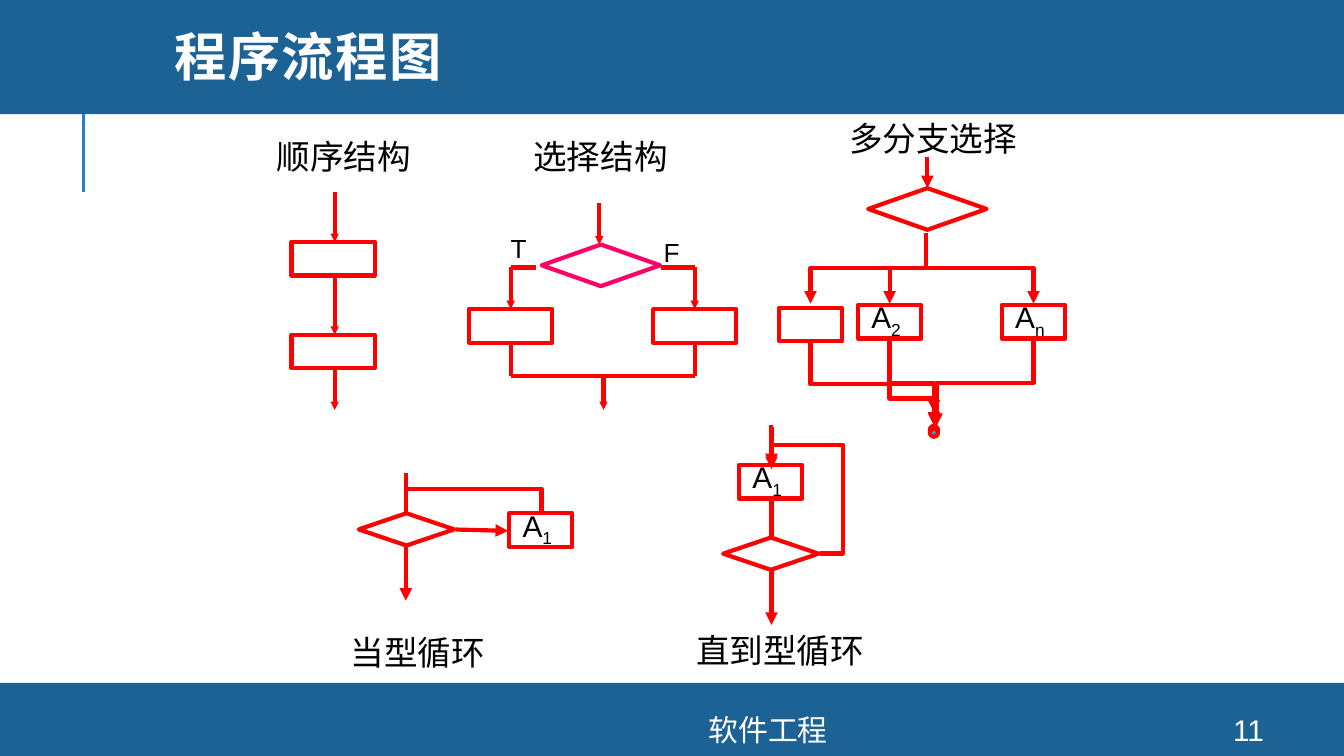
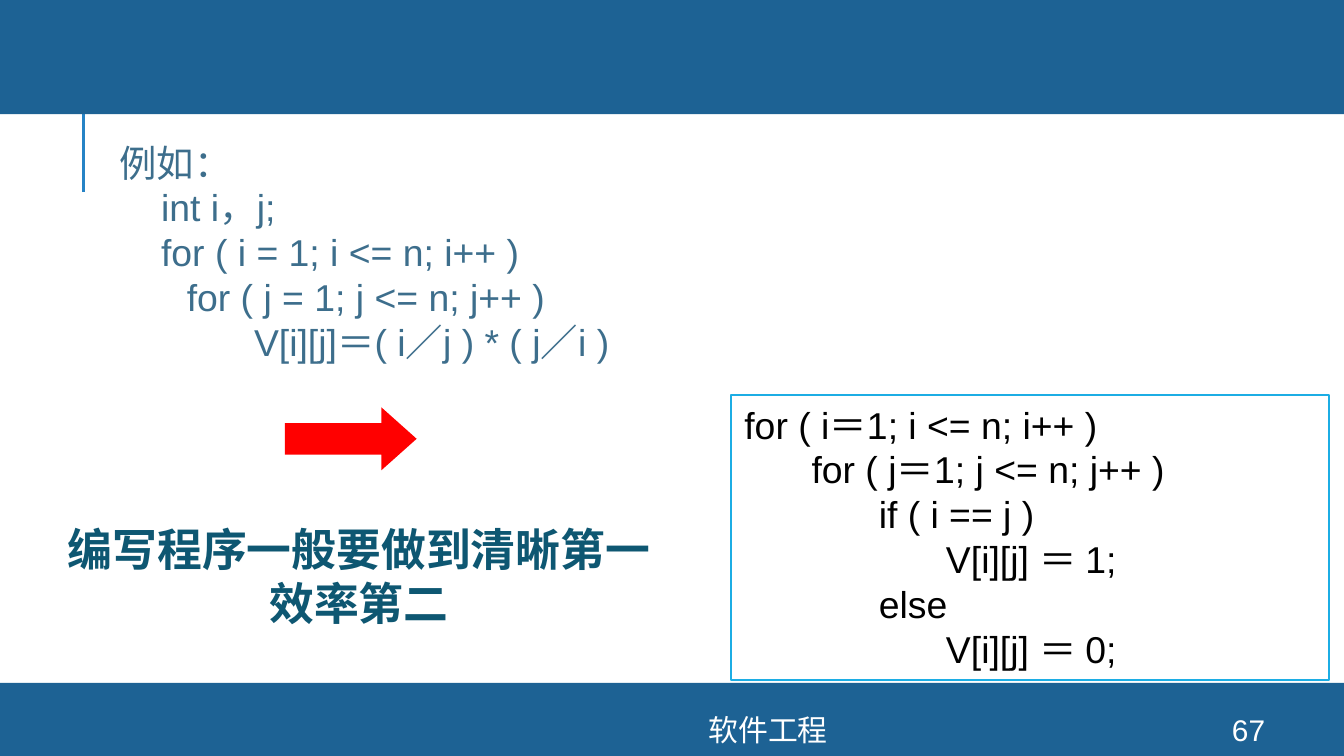
from dataclasses import dataclass

from pptx import Presentation
from pptx.dml.color import RGBColor
from pptx.enum.shapes import MSO_CONNECTOR, MSO_SHAPE
from pptx.enum.text import MSO_ANCHOR, PP_ALIGN
from pptx.oxml.ns import qn
from pptx.oxml.xmlchemy import OxmlElement
from pptx.util import Pt

RECT, DIAMOND = MSO_SHAPE.RECTANGLE, MSO_SHAPE.DIAMOND
OVAL, ARROW = MSO_SHAPE.OVAL, MSO_SHAPE.RIGHT_ARROW
LINE, ELBOW = MSO_CONNECTOR.STRAIGHT, MSO_CONNECTOR.ELBOW
LEFT, CENTER, JUST = PP_ALIGN.LEFT, PP_ALIGN.CENTER, PP_ALIGN.JUSTIFY
TOP, MIDDLE = MSO_ANCHOR.TOP, MSO_ANCHOR.MIDDLE


@dataclass(frozen=True)
class Theme:
    # Colours
    band: str = "1D6294"
    rule: str = "2683C6"
    flow: str = "FF0000"
    pink: str = "FF0066"
    cyan: str = "1CADE4"
    body: str = "3D6E8C"
    note: str = "0E5772"
    ink: str = "000000"
    white: str = "FFFFFF"
    # Fonts, sizes, weights
    font: str = "Arial"
    head: str = "Montserrat"
    title: float = 28
    large: float = 24
    code: float = 20
    label: float = 18
    small: float = 16
    mark: float = 14
    lead: float = 1.2
    stroke: float = 2.25


T = Theme()


def rgb(code):
    return RGBColor.from_string(code)


def place(shape, x, y, w, h):
    shape.left, shape.top, shape.width, shape.height = Pt(x), Pt(y), Pt(w), Pt(h)


def style(run, size, color, bold=False, font=T.font):
    run.font.name, run.font.size, run.font.bold = font, Pt(size), bold
    run.font.color.rgb = rgb(color)


# Text
def write(shape, lines, size, color=T.ink, align=LEFT, anchor=TOP,
          bold=False, wrap=True, tab=0):
    frame = shape.text_frame
    frame.word_wrap, frame.vertical_anchor = wrap, anchor
    for i, line in enumerate(lines):
        para = frame.add_paragraph() if i else frame.paragraphs[0]
        para.text = line
        if tab:
            set_tabs(para, tab)
        para.alignment, para.line_spacing = align, Pt(size * T.lead)
        para.space_before = para.space_after = Pt(0)
        for run in para.runs:
            style(run, size, color, bold)


def set_tabs(para, step):
    """Plain paragraph with evenly spaced tab stops."""
    props = para._p.get_or_add_pPr()
    props.set("marL", "0")
    props.set("indent", "0")
    props.append(OxmlElement("a:buNone"))
    stops = OxmlElement("a:tabLst")
    for n in range(1, 4):
        stop = OxmlElement("a:tab")
        stop.set("pos", str(Pt(step * n)))
        stop.set("algn", "l")
        stops.append(stop)
    props.append(stops)


def label(slide, text, x, y, w, h=28.8, size=T.label, **opts):
    box = slide.shapes.add_textbox(Pt(x), Pt(y), Pt(w), Pt(h))
    write(box, text.split("\n"), size, **opts)


# Shapes
def shape(slide, kind, x, y, w, h, fill=None, line=None, width=T.stroke):
    item = slide.shapes.add_shape(kind, Pt(x), Pt(y), Pt(w), Pt(h))
    item.shadow.inherit = False
    if fill:
        item.fill.solid()
        item.fill.fore_color.rgb = rgb(fill)
    else:
        item.fill.background()
    if line:
        item.line.color.rgb = rgb(line)
        item.line.width = Pt(width)
    else:
        item.line.fill.background()
    return item


def step(slide, x, y, w=44.6, sub=""):
    """Process box, named A with a subscript if one is given."""
    box = shape(slide, RECT, x, y, w, 18, line=T.flow)
    if sub:
        write(box, ["A"], T.small, anchor=MIDDLE, wrap=False)
        run = box.text_frame.paragraphs[0].add_run()
        run.text = sub
        style(run, T.small, T.ink)
        run._r.get_or_add_rPr().set("baseline", "-25000")


def test(slide, x, y, w=63.4, h=22.3, color=T.flow):
    shape(slide, DIAMOND, x, y, w, h, line=color)


# Lines
def link(slide, kind, x1, y1, x2, y2, head="", color=T.flow, width=T.stroke):
    """Connector; head is the arrowhead size, empty for none."""
    item = slide.shapes.add_connector(kind, Pt(x1), Pt(y1), Pt(x2), Pt(y2))
    item.line.color.rgb = rgb(color)
    item.line.width = Pt(width)
    if head:
        tip = OxmlElement("a:tailEnd")
        for key, value in (("type", "triangle"), ("w", head), ("len", head)):
            tip.set(key, value)
        item.line._get_or_add_ln().append(tip)
    item._element.spPr.append(OxmlElement("a:effectLst"))
    return item


def down(slide, x, y1, y2, head=""):
    link(slide, LINE, x, y1, x, y2, head)


def across(slide, x1, x2, y):
    link(slide, LINE, x1, y, x2, y)


def adjust(item, *parts):
    guides = item._element.spPr.find(qn("a:prstGeom")).find(qn("a:avLst"))
    for n, part in enumerate(parts, 1):
        guide = OxmlElement("a:gd")
        guide.set("name", f"adj{n}")
        guide.set("fmla", f"val {round(part * 100000)}")
        guides.append(guide)


def bend(slide, x1, y1, x2, y2, head="med", mid=0.5):
    """Elbow that leaves and arrives vertically: a turned connector."""
    cx, cy = (x1 + x2) / 2, (y1 + y2) / 2
    half, rise = abs(y2 - y1) / 2, abs(x2 - x1) / 2
    if (x2 > x1) == (y2 > y1):
        half = -half
    item = link(slide, ELBOW, cx - half, cy - rise, cx + half, cy + rise, head)
    turn = 90 if x2 < x1 else 270
    item._element.spPr.find(qn("a:xfrm")).set("rot", str(turn * 60000))
    adjust(item, mid)


# Shared frame
def frame(slide, number):
    link(slide, LINE, 44.6, 103, 44.6, 49, color=T.rule, width=1.5)
    shape(slide, RECT, 0, 365.8, 720, 39.2, fill=T.band)
    shape(slide, RECT, 0, -2.2, 720, 63.4, fill=T.band)
    for text, x, w in (("软件工程", 187.9, 447.1), (number, 640.1, 57.6)):
        label(slide, text, x, 382.3, w, 16.6, T.small, color=T.white,
              align=CENTER, anchor=MIDDLE)


def raise_up(slide, item):
    """Put a placeholder in front of the bands."""
    slide.shapes._spTree.append(item._element)


def set_title(slide, text):
    title = slide.shapes.title
    raise_up(slide, title)
    place(title, 86.4, 0, 611.3, 65.5)
    title.text_frame.text = text
    title.text_frame.vertical_anchor = MIDDLE
    para = title.text_frame.paragraphs[0]
    para.alignment, para.line_spacing = LEFT, 0.8
    run = para.runs[0]
    style(run, T.title, T.white, True, T.head)
    run._r.get_or_add_rPr().set("spc", "80")


# Flow charts
def sequence(slide):
    label(slide, "顺序结构", 141.1, 69.1, 87.1, wrap=False)
    for y in (129.6, 179.3):
        step(slide, 156.2, y)
    for y1, y2 in ((103, 129.6), (147.6, 179.3), (197.3, 219.6)):
        down(slide, 179.3, y1, y2, "sm")


def choice(slide):
    label(slide, "选择结构", 278.6, 69.1, 87.1, wrap=False)
    left, right = 273.6, 372.2
    for x in (left, right):
        down(slide, x, 183.6, 201.6)
        step(slide, x - 22.3, 165.6)
        down(slide, x, 143.3, 165.6, "sm")
    across(slide, left, right, 201.6)
    down(slide, 323.3, 201.6, 219.6, "sm")
    test(slide, 290.2, 131, color=T.pink)
    down(slide, 321.1, 108.7, 131, "sm")
    across(slide, left, 287.3, 143.3)
    across(slide, 354.2, right, 143.3)
    label(slide, "T", 266.4, 121, 23, 24.5, T.mark, wrap=False)
    label(slide, "F", 348.5, 123.1, 22.3, 24.5, T.mark, wrap=False)


def switch(slide):
    label(slide, "多分支选择", 447.8, 59.8, 105.1, wrap=False)
    test(slide, 465.1, 100.8)
    down(slide, 496.8, 84.2, 100.8, "med")
    for x, y, sub in ((434.2, 164.9, ""), (476.6, 163.4, "2"), (553.7, 163.4, "n")):
        step(slide, x - 16.9, y, 33.8, sub)
        bend(slide, 496.1, 124.6, x, 162.7)
    for y in (228.2, 229.7):
        shape(slide, OVAL, 498.2, y, 4.3, 4.3, fill=T.cyan, line=T.flow)
    bend(slide, 476.6, 182.9, 500.4, 227.5)
    bend(slide, 553.7, 182.9, 501.8, 228.2, mid=0.49)
    bend(slide, 434.2, 183.6, 500.4, 228.2)
    bend(slide, 476.6, 205.9, 500.4, 221)


def while_loop(slide):
    label(slide, "当型循环", 180.7, 334.8, 87.1, wrap=False)
    test(slide, 192.2, 275, 51.1, 17.3)
    step(slide, 272.9, 275, 33.8, "1")
    down(slide, 217.4, 254.2, 275)
    link(slide, LINE, 244.1, 283.7, 272.2, 284.4, "med")
    down(slide, 217.4, 293, 321.8, "med")
    bend(slide, 290.2, 274.3, 217.4, 253.4, "", 0.6)


def until_loop(slide):
    label(slide, "直到型循环", 365.8, 334.1, 105.1, wrap=False)
    test(slide, 387.4, 288, 51.1, 17.3)
    step(slide, 396, 249.1, 33.8, "1")
    down(slide, 413.3, 267.1, 288)
    for y1, y2 in ((306, 334.8), (229, 249.8), (229, 251.3)):
        down(slide, 413.3, y1, y2, "med")
    back = link(slide, ELBOW, 439.2, 296.6, 413.3, 227.5)
    back._element.spPr.find(qn("a:prstGeom")).set("prst", "bentConnector4")
    adjust(back, -0.48, 0.84)


# Slides
def flow_slide(deck):
    slide = deck.slides.add_slide(deck.slide_layouts[5])
    frame(slide, "11")
    set_title(slide, "程序流程图")
    for draw in (sequence, choice, switch, while_loop, until_loop):
        draw(slide)


def code_slide(deck):
    slide = deck.slides.add_slide(deck.slide_layouts[1])
    title, body = slide.placeholders
    slide.shapes._spTree.remove(title._element)
    frame(slide, "67")
    raise_up(slide, body)
    place(body, 60.5, 71.3, 506.9, 164.2)
    area = body.text_frame
    area.margin_left = area.margin_right = Pt(3.6)
    area.margin_top = area.margin_bottom = Pt(3.6)
    write(body, ["例如：", "    int i，j;", "    for ( i = 1; i <= n; i++ )",
                 "\tfor ( j = 1; j <= n; j++ )",
                 "\t\tV[i][j]＝( i／j ) * ( j／i )"],
          T.code, T.body, JUST, tab=54)
    box = shape(slide, RECT, 391.7, 211.7, 320.4, 152.6, T.white, T.cyan, 1.25)
    write(box, ["for ( i＝1; i <= n; i++ )\n"
                "\tfor ( j＝1; j <= n; j++ )\n"
                "\t\tif ( i == j )\n"
                "\t\t\tV[i][j] ＝ 1;\n"
                "\t\telse\n"
                "\t\t\tV[i][j] ＝ 0;"], T.code, tab=36)
    arrow = shape(slide, ARROW, 152.6, 218.2, 70.6, 33.8, fill=T.flow)
    arrow.adjustments[0], arrow.adjustments[1] = 0.5, 0.56
    label(slide, "编写程序一般要做到清晰第一\n效率第二", 27.4, 275.8, 329.8, 65.5,
          T.large, color=T.note, align=CENTER, bold=True, wrap=False)


def main():
    deck = Presentation()
    deck.slide_width, deck.slide_height = Pt(720), Pt(405)
    flow_slide(deck)
    code_slide(deck)
    deck.save("out.pptx")


if __name__ == "__main__":
    main()
